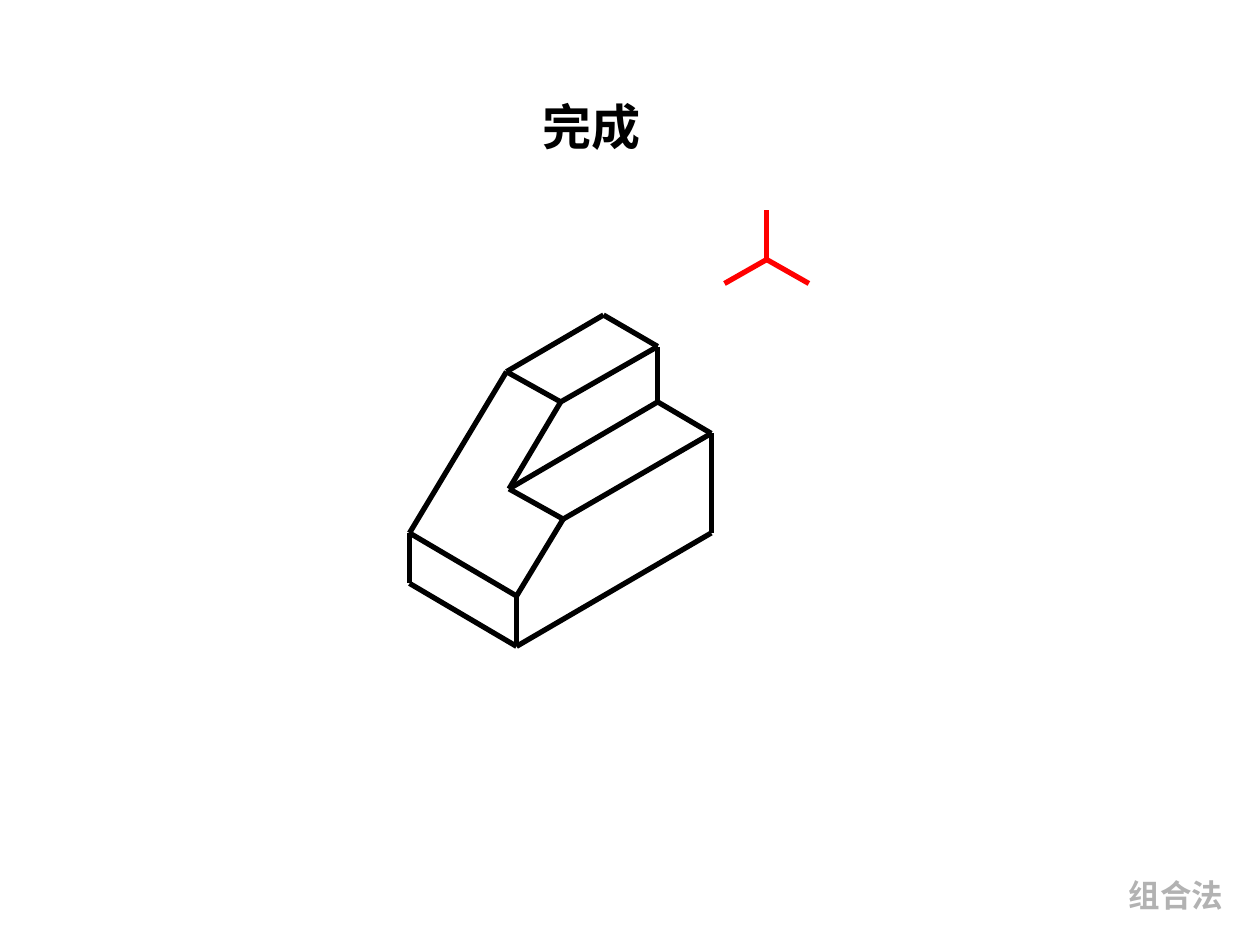
from pptx import Presentation
from pptx.dml.color import RGBColor
from pptx.enum.shapes import MSO_CONNECTOR
from pptx.enum.text import MSO_ANCHOR, PP_ALIGN
from pptx.oxml.ns import qn
from pptx.util import Inches, Pt
from lxml.etree import SubElement

FONT = "Times New Roman"

# text, (left, top, width, height), size, colour, alignment, anchor, wrap
TEXTS = [
    ("完成", (0.83, 0.75, 7.73, 0.5), 28, "000000", PP_ALIGN.CENTER, MSO_ANCHOR.MIDDLE, True),
    ("组合法", (8.86, 6.9, 0.95, 0.4), 18, "B2B2B2", PP_ALIGN.LEFT, MSO_ANCHOR.TOP, False),
]

BLOCK_CORNERS = {
    "base left": (3.25, 4.63),
    "base front": (4.1, 5.13),
    "base right": (5.645, 4.23),
    "slope left": (3.25, 4.23),
    "slope front": (4.1, 4.73),
    "step front": (4.47, 4.12),
    "step inner": (4.04, 3.88),
    "step right": (5.645, 3.44),
    "step back": (5.22, 3.19),
    "top left": (4.02, 2.95),
    "top front": (4.45, 3.19),
    "top right": (5.22, 2.75),
    "top back": (4.79, 2.5),
}
# Each chain is drawn as one edge between every two neighbours
BLOCK_CHAINS = [
    ("slope left", "base left", "base front", "base right", "step right", "step back",
     "top right", "top back", "top left", "slope left", "slope front", "base front"),
    ("slope front", "step front", "step inner", "top front", "top left"),
    ("top front", "top right"),
    ("step inner", "step back"),
    ("step front", "step right"),
]

AXIS_POINTS = {
    "origin": (6.085, 2.06),
    "up": (6.085, 1.67),
    "left": (5.75, 2.25),
    "right": (6.42, 2.25),
}
AXIS_CHAINS = [("origin", "up"), ("origin", "left"), ("origin", "right")]


def colour(value):
    return RGBColor.from_string(value)


def add_text(page, text, place, size, tint, alignment, anchor, wrap):
    frame = page.shapes.add_textbox(*map(Inches, place)).text_frame
    frame.text = text
    frame.word_wrap = wrap
    frame.vertical_anchor = anchor
    para = frame.paragraphs[0]
    para.alignment = alignment
    font = para.runs[0].font
    font.name, font.size, font.bold = FONT, Pt(size), True
    font.color.rgb = colour(tint)


def add_wireframe(page, points, chains, tint):
    """Draw the chains of named points as one group of lines."""
    group = page.shapes.add_group_shape()
    for chain in chains:
        for start, end in zip(chain, chain[1:]):
            ends = map(Inches, points[start] + points[end])
            edge = group.shapes.add_connector(MSO_CONNECTOR.STRAIGHT, *ends)
            edge.line.color.rgb = colour(tint)
            edge.line.width = Pt(3)
            SubElement(edge.line._get_or_add_ln(), qn("a:round"))
            SubElement(edge._element.spPr, qn("a:effectLst"))


deck = Presentation()
deck.slide_width, deck.slide_height = Inches(10), Inches(7.5)
page = deck.slides.add_slide(deck.slide_layouts[6])

title, label = TEXTS
add_text(page, *title)
add_wireframe(page, BLOCK_CORNERS, BLOCK_CHAINS, "000000")
add_wireframe(page, AXIS_POINTS, AXIS_CHAINS, "FF0000")
add_text(page, *label)

deck.save("out.pptx")
